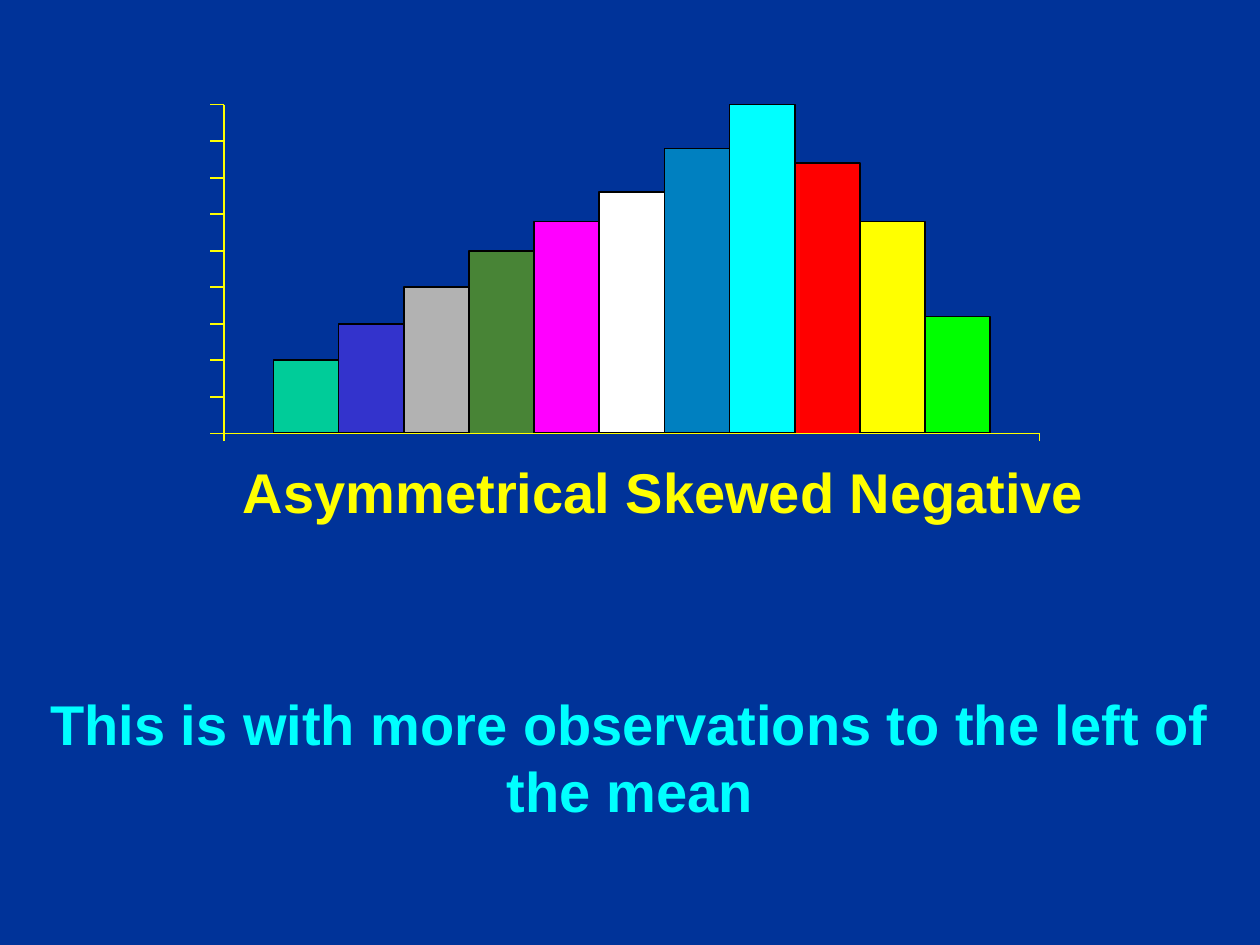
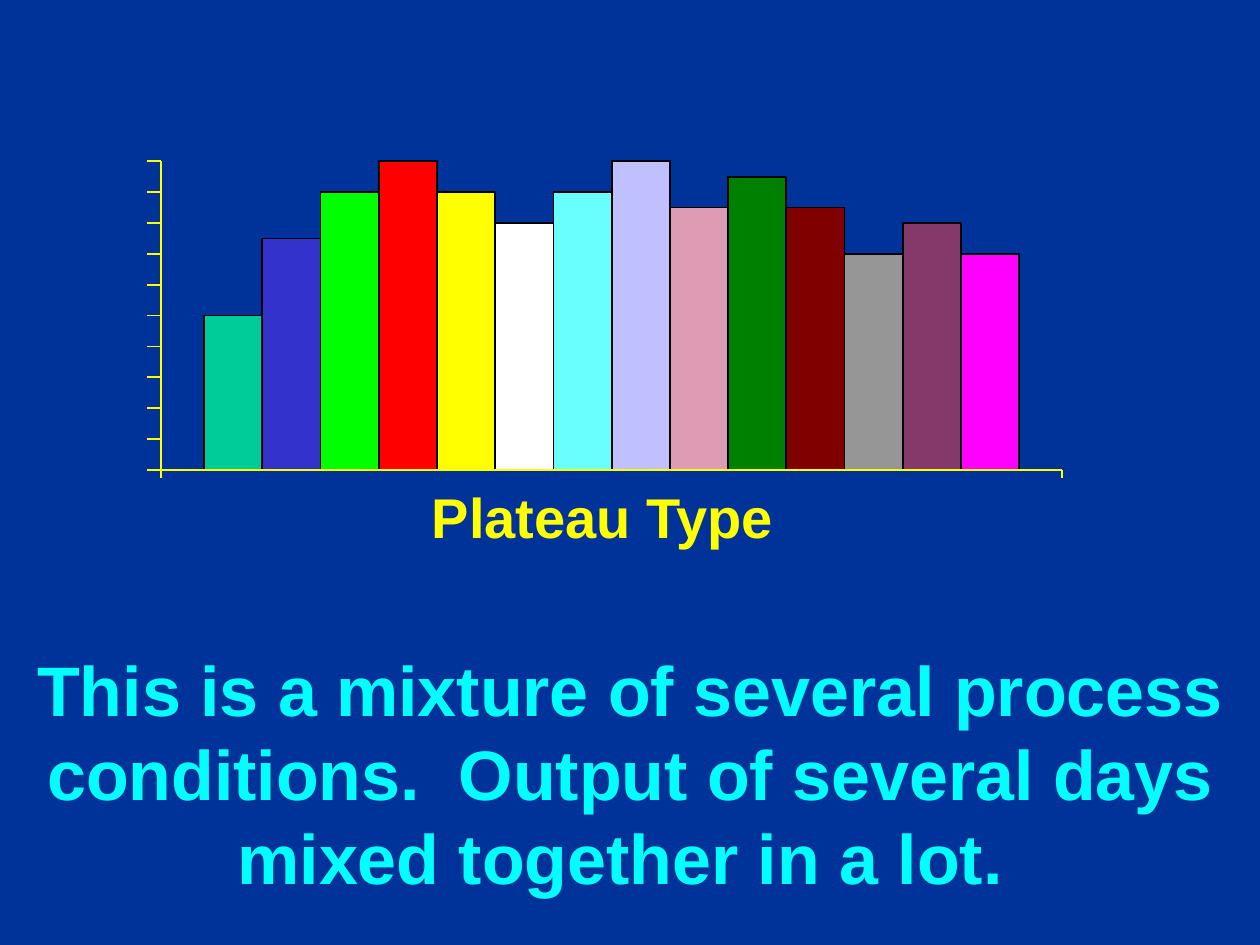
from lxml import etree
from pptx import Presentation
from pptx.dml.color import RGBColor
from pptx.enum.shapes import MSO_CONNECTOR, MSO_SHAPE
from pptx.enum.text import PP_ALIGN
from pptx.oxml.ns import qn
from pptx.util import Inches, Pt

RECT, LINE = MSO_SHAPE.RECTANGLE, MSO_CONNECTOR.STRAIGHT
LEFT, CENTER = PP_ALIGN.LEFT, PP_ALIGN.CENTER
HUES = {
    "navy": "003399", "black": "000000", "teal": "00CC99", "blue": "3333CC",
    "silver": "B2B2B2", "moss": "488436", "pink": "FF00FF", "white": "FFFFFF",
    "azure": "0080C0", "cyan": "00FFFF", "red": "FF0000", "yellow": "FFFF00",
    "lime": "00FF00", "aqua": "69FFFF", "lilac": "C0C0FF", "rose": "DD9CB3",
    "green": "008000", "maroon": "800000", "gray": "969696", "plum": "85396A",
}
FONT = {"name": "Arial", "bold": True}
TICK, FOOT = 0.11, 0.06

SKEWED = {
    "box": (1.78, 0.83, 6.47, 2.61), "pad": 0.39, "top": 9,
    "bars": [("teal", 2), ("blue", 3), ("silver", 4), ("moss", 5),
             ("pink", 5.8), ("white", 6.6), ("azure", 7.8), ("cyan", 9),
             ("red", 7.4), ("yellow", 5.8), ("lime", 3.2)],
    "title": ("Asymmetrical Skewed Negative", (1.83, 3.58, 7.08, 1.45)),
    "note": ("This is with more observations to the left of the mean",
             (0, 5.42, 10, 1.17), 32),
}
PLATEAU = {
    "box": (1.28, 1.28, 7.15, 2.45), "pad": 0.34, "top": 10,
    "bars": [("teal", 5), ("blue", 7.5), ("lime", 9), ("red", 10),
             ("yellow", 9), ("white", 8), ("aqua", 9), ("lilac", 10),
             ("rose", 8.5), ("green", 9.5), ("maroon", 8.5), ("gray", 7),
             ("plum", 8), ("pink", 7)],
    "title": ("Plateau Type", (3.33, 3.78, 3.33, 0.64)),
    "note": ("This is a mixture of several process conditions.  Output of "
             "several days mixed together in a lot. ",
             (0, 5.08, 10, 2.1), 40),
}


def color(hue):
    """Return the named colour."""
    return RGBColor.from_string(HUES[hue])


def add_text(shapes, words, box, size, hue, align):
    """Write bold text in a wrapped box."""
    frame = shapes.add_textbox(*map(Inches, box)).text_frame
    frame.word_wrap = True
    para = frame.paragraphs[0]
    para.alignment = align
    run = para.add_run()
    run.text = words
    for key, value in {**FONT, "size": Pt(size)}.items():
        setattr(run.font, key, value)
    run.font.color.rgb = color(hue)


def add_line(shapes, *ends):
    """Draw one thin axis line without a shadow."""
    line = shapes.add_connector(LINE, *map(Inches, ends))
    line.line.color.rgb = color("yellow")
    line.line.width = Pt(1)
    etree.SubElement(line._element.spPr, qn("a:effectLst"))


def add_bars(shapes, box, pad, top, bars):
    """Stand touching bars on the base of the box."""
    left, high, width, height = box
    step = (width - 2 * pad) / len(bars)
    for i, (hue, value) in enumerate(bars):
        tall = height * value / top
        place = (left + pad + i * step, high + height - tall, step, tall)
        bar = shapes.add_shape(RECT, *map(Inches, place))
        bar.shadow.inherit = False
        bar.fill.solid()
        bar.fill.fore_color.rgb = color(hue)
        bar.line.color.rgb = color("black")
        bar.line.width = Pt(1)


def add_axes(shapes, box, top):
    """Draw both axes of the box with their ticks."""
    left, high, width, height = box
    right, base = left + width, high + height
    add_line(shapes, left, high, left, base)
    for i in range(top + 1):
        y = base - i * height / top
        add_line(shapes, left - TICK, y, left, y)
    add_line(shapes, left, base, right, base)
    for x in (left, right):
        add_line(shapes, x, base + FOOT, x, base)


def add_slide(deck, data):
    """Build one slide with a histogram, its title and a note."""
    slide = deck.slides.add_slide(deck.slide_layouts[6])
    slide.background.fill.solid()
    slide.background.fill.fore_color.rgb = color("navy")
    words, box, size = data["note"]
    add_text(slide.shapes, words, box, size, "cyan", CENTER)
    shapes = slide.shapes.add_group_shape().shapes
    add_bars(shapes, data["box"], data["pad"], data["top"], data["bars"])
    add_axes(shapes, data["box"], data["top"])
    add_text(shapes, *data["title"], 32, "yellow", LEFT)


def main():
    """Build and save the deck."""
    deck = Presentation()
    deck.slide_width, deck.slide_height = Inches(10), Inches(7.5)
    for data in (SKEWED, PLATEAU):
        add_slide(deck, data)
    deck.save("out.pptx")


if __name__ == "__main__":
    main()
